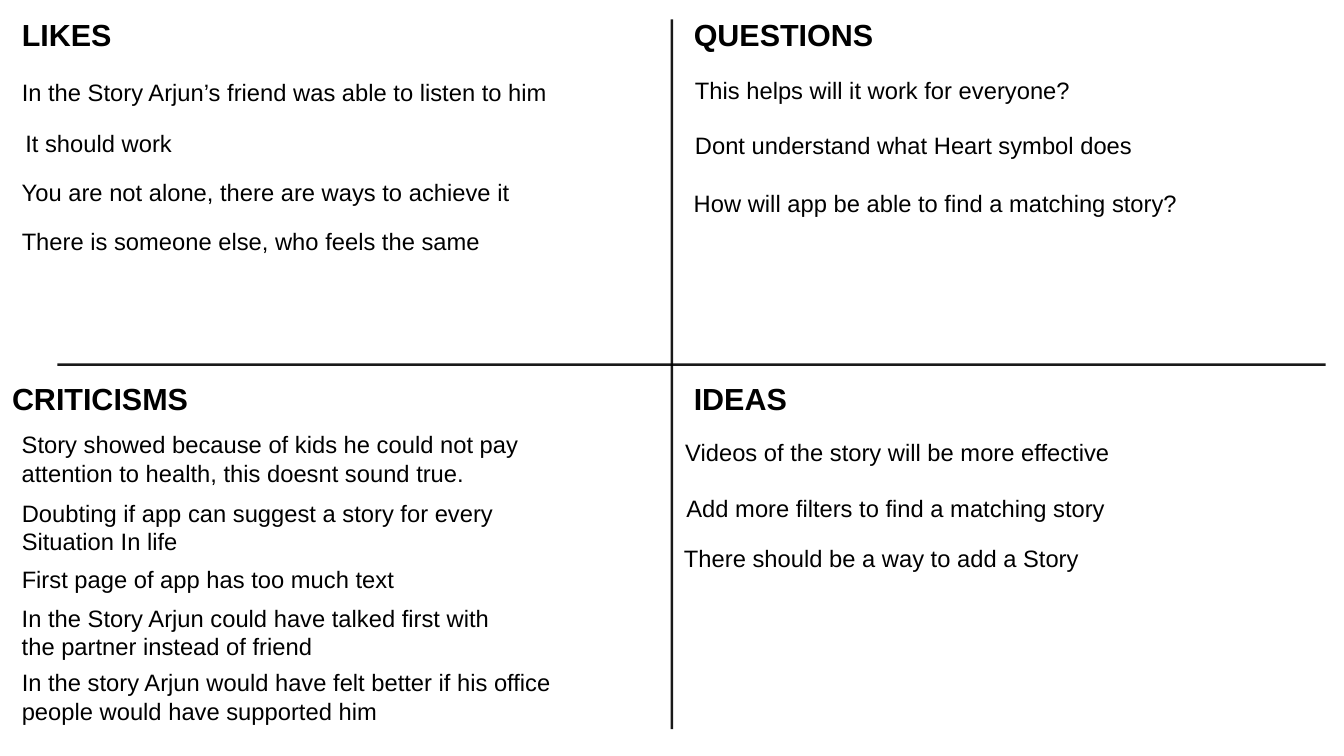
import pptx
import pptx.dml.color
import pptx.enum.shapes
import pptx.enum.text
import pptx.oxml.ns
import pptx.util
from lxml import etree
from pptx.util import Inches

BLACK = pptx.dml.color.RGBColor(0, 0, 0)
FONT = "Arial"

deck = pptx.Presentation()
deck.slide_width = Inches(11.02)
deck.slide_height = Inches(6.2)
page = deck.slides.add_slide(deck.slide_layouts[6])


def add_text(left, top, width, height, lines, size, bold=False):
    box = page.shapes.add_textbox(Inches(left), Inches(top), Inches(width), Inches(height))
    frame = box.text_frame
    frame.word_wrap = True
    frame.auto_size = pptx.enum.text.MSO_AUTO_SIZE.SHAPE_TO_FIT_TEXT
    for number, line in enumerate(lines):
        para = frame.paragraphs[0] if number == 0 else frame.add_paragraph()
        span = para.add_run()
        span.text = line
        span.font.name = FONT
        span.font.size = pptx.util.Pt(size)
        span.font.bold = bold
        span.font.color.rgb = BLACK


# Cross dividing the page into quadrants
for x1, y1, x2, y2 in [(5.51, 0.16, 5.51, 5.98), (0.47, 2.99, 10.87, 2.99)]:
    divider = page.shapes.add_connector(
        pptx.enum.shapes.MSO_CONNECTOR.STRAIGHT, Inches(x1), Inches(y1), Inches(x2), Inches(y2))
    divider.line.color.rgb = BLACK
    divider.line.width = pptx.util.Pt(1.5)
    properties = divider._element.spPr
    color = properties.find(".//" + pptx.oxml.ns.qn("a:srgbClr"))
    etree.SubElement(color, pptx.oxml.ns.qn("a:alpha")).set("val", "90000")
    etree.SubElement(properties, pptx.oxml.ns.qn("a:effectLst"))

# Quadrant headings
headings = [
    (0.08, 0.08, "LIKES"),
    (5.59, 0.08, "QUESTIONS"),
    (0, 3.07, "CRITICISMS"),
    (5.59, 3.07, "IDEAS"),
]
for left, top, heading in headings:
    add_text(left, top, 1.89, 0.39, [heading], 18, bold=True)

# Feedback notes: left, top, width, lines
notes = [
    # Likes
    (0.08, 0.59, 5.28, ["In the Story Arjun’s friend was able to listen to him"]),
    (0.11, 1.01, 1.5, ["It should work"]),
    (0.08, 1.41, 4.3, ["You are not alone, there are ways to achieve it"]),
    (0.08, 1.81, 4.05, ["There is someone else, who feels the same"]),
    # Questions
    (5.6, 0.57, 3.86, ["This helps will it work for everyone?"]),
    (5.6, 1.02, 3.9, ["Dont understand what Heart symbol does"]),
    (5.59, 1.5, 4.33, ["How will app be able to find a matching story?"]),
    # Criticisms
    (0.08, 3.48, 4.4, ["Story showed because of kids he could not pay",
                       "attention to health, this doesnt sound true."]),
    (0.08, 4.04, 4.15, ["Doubting if app can suggest a story for every",
                        "Situation In life"]),
    (0.08, 4.58, 3.35, ["First page of app has too much text"]),
    (0.08, 4.9, 4.2, ["In the Story Arjun could have talked first with",
                      "the partner instead of friend"]),
    (0.08, 5.43, 4.65, ["In the story Arjun would have felt better if his office",
                        "people would have supported him"]),
    # Ideas
    (5.52, 3.54, 4.17, ["Videos of the story will be more effective"]),
    (5.53, 4, 4.11, ["Add more filters to find a matching story"]),
    (5.51, 4.41, 3.55, ["There should be a way to add a Story"]),
]
for left, top, width, lines in notes:
    add_text(left, top, width, 0.1 + 0.22 * len(lines), lines, 14)

deck.save("out.pptx")
